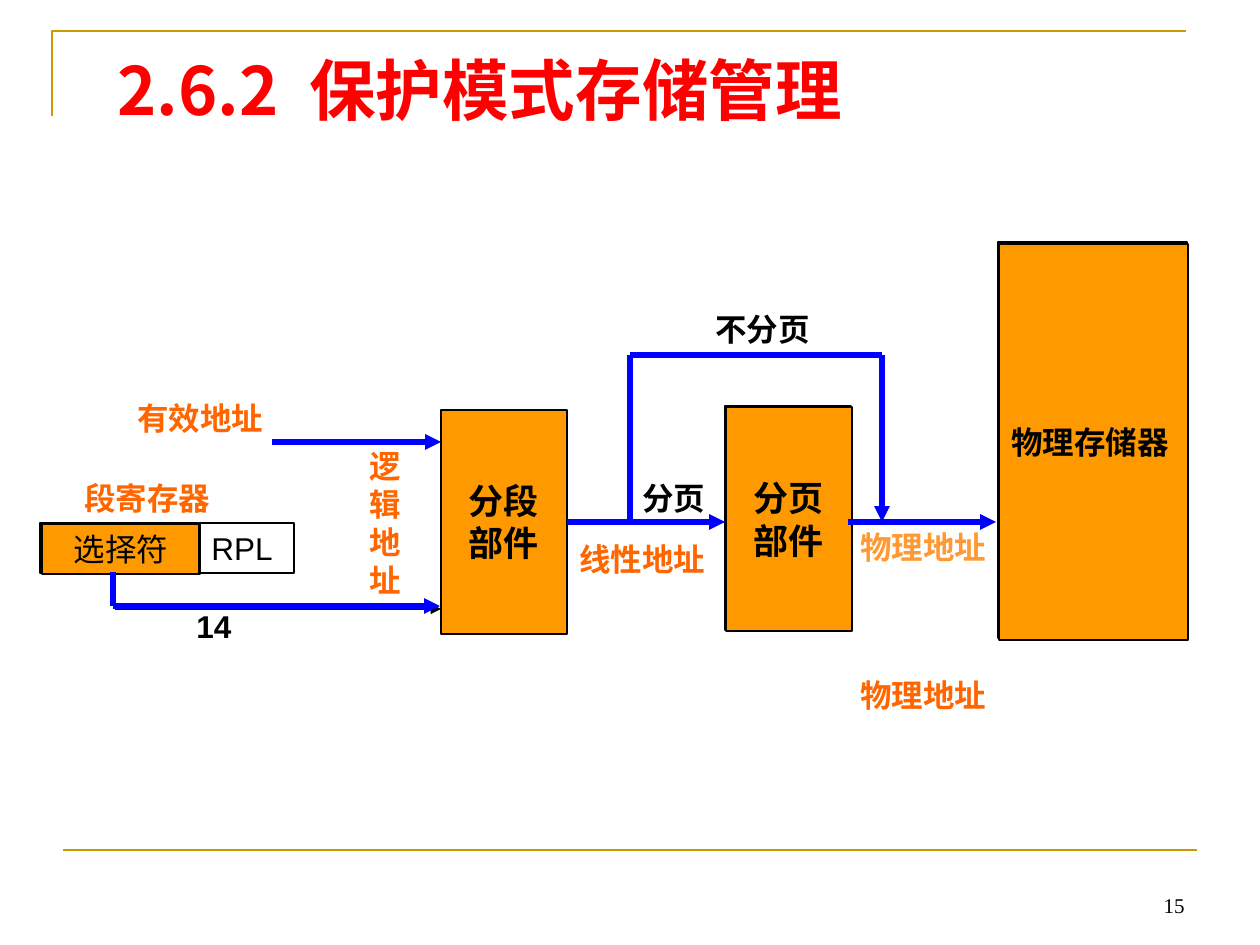
from lxml import etree
from pptx import Presentation, util as u
from pptx.dml.color import RGBColor
from pptx.enum import shapes, text
from pptx.oxml.ns import qn

COLORS = {
    "gold": "CC9900", "red": "FF0000", "label": "FF6600", "pale": "FF9933",
    "fill": "FF9900", "black": "000000", "blue": "0000FF",
}
CJK = "Noto Sans CJK SC"
ALIGN = text.PP_ALIGN
ANCHOR = text.MSO_ANCHOR

# Outlines peeping out behind the filled boxes: left, top, width, height
BACK_OUTLINES = [(40, 523, 158, 50), (725, 406, 126, 224), (998, 242, 189, 396)]

# Boxes: name, (left, top, width, height), fill, size, bold, alignment
BOXES = [
    ("选择符", (42, 524, 158, 50), "fill", 18, False, ALIGN.CENTER),
    ("RPL", (199, 523, 95, 50), None, 18, False, ALIGN.LEFT),
    ("分段部件", (441, 410, 126, 224), "fill", 20, True, ALIGN.CENTER),
    ("分页部件", (726, 407, 126, 224), "fill", 20, True, ALIGN.CENTER),
    ("物理存储器", (999, 244, 189, 396), "fill", 18, True, ALIGN.LEFT),
]

# Labels: words, (left, top, width, height), color
LABELS = [
    ("段寄存器", (72, 473, 169, 50), "label"),
    ("有效地址", (125, 393, 169, 50), "label"),
    ("逻辑地址", (357, 441, 63, 164), "label"),
    ("线性地址", (567, 534, 158, 50), "label"),
    ("分页", (630, 473, 95, 50), "black"),
    ("不分页", (703, 304, 158, 50), "black"),
    ("物理地址", (848, 522, 158, 50), "pale"),
    ("14", (184, 601, 79, 50), "black"),
    ("物理地址", (848, 670, 158, 50), "label"),
]

# Routes: points, color, width; the last leg carries the arrowhead
ROUTES = [
    ([(115, 575), (115, 609), (441, 609)], "black", 0.75),
    ([(113, 572), (113, 606), (440, 606)], "blue", 3),
    ([(272, 442), (441, 442)], "blue", 3),
    ([(567, 522), (725, 522)], "blue", 3),
    ([(848, 522), (996, 522)], "blue", 3),
    ([(630, 522), (630, 355), (882, 355), (882, 522)], "blue", 3),
]


def px(value):
    return u.Emu(round(value * 914400 / 126))


def rgb(name):
    return RGBColor.from_string(COLORS[name])


def add_run(paragraph, words, size, color, bold=False, font="Arial"):
    run = paragraph.add_run()
    run.text = words
    run.font.size = u.Pt(size)
    run.font.bold = bold
    run.font.name = font
    run.font.color.rgb = rgb(color)
    properties = run.font._element
    etree.SubElement(properties, qn("a:ea")).set("typeface", CJK)
    return properties


def set_frame(shape, anchor, alignment):
    frame = shape.text_frame
    frame.word_wrap = True
    frame.vertical_anchor = anchor
    frame.paragraphs[0].alignment = alignment
    return frame.paragraphs[0]


def add_text_box(slide, place, anchor=ANCHOR.TOP, alignment=ALIGN.LEFT):
    return set_frame(slide.shapes.add_textbox(*map(px, place)), anchor, alignment)


def add_box(slide, place, fill=None):
    shape = slide.shapes.add_shape(shapes.MSO_SHAPE.RECTANGLE, *map(px, place))
    shape.shadow.inherit = False
    if fill:
        shape.fill.solid()
        shape.fill.fore_color.rgb = rgb(fill)
    else:
        shape.fill.background()
    shape.line.color.rgb = rgb("black")
    shape.line.width = u.Pt(0.75)
    return shape


def add_line(slide, start, end, color, width, arrow=False):
    line = slide.shapes.add_connector(
        shapes.MSO_CONNECTOR.STRAIGHT, *map(px, start + end))
    line.line.color.rgb = rgb(color)
    line.line.width = u.Pt(width)
    properties = line._element.spPr
    if arrow:
        etree.SubElement(properties.find(qn("a:ln")), qn("a:tailEnd")).set("type", "triangle")
    etree.SubElement(properties, qn("a:effectLst"))
    return line


def main():
    presentation = Presentation()
    presentation.slide_width, presentation.slide_height = px(1260), px(945)
    slide = presentation.slides.add_slide(presentation.slide_layouts[6])

    # Frame: corner rule above, straight rule below
    builder = slide.shapes.build_freeform(px(52), px(116))
    builder.add_line_segments([(px(52), px(31)), (px(1186), px(31))], close=False)
    corner = builder.convert_to_shape()
    corner.shadow.inherit = False
    corner.fill.background()
    corner.line.color.rgb = rgb("gold")
    corner.line.width = u.Pt(1.5)
    add_line(slide, (63, 850), (1197, 850), "gold", 1.5)

    # Title, with a widened space after the number
    title = add_text_box(slide, (105, 47, 1071, 83), ANCHOR.MIDDLE)
    for words, spacing in [("2.6.2", 0), (" ", 9), ("保护模式存储管理", 0)]:
        properties = add_run(title, words, 38, "red", True, CJK)
        properties.set("spc", str(spacing * 100))

    # Boxes
    for place in BACK_OUTLINES:
        add_box(slide, place)
    boxes = {}
    for name, place, fill, size, bold, alignment in BOXES:
        boxes[name] = add_box(slide, place, fill)
        paragraph = set_frame(boxes[name], ANCHOR.MIDDLE, alignment)
        add_run(paragraph, name, size, "black", bold)

    # Labels
    for words, place, color in LABELS:
        add_run(add_text_box(slide, place), words, 18, color, True)

    # Address routes
    segment_unit = boxes["分段部件"]
    segment_exit = (567, 522)
    for points, color, width in ROUTES:
        for start, end in zip(points, points[1:]):
            line = add_line(slide, start, end, color, width, end == points[-1])
            if start == segment_exit:
                line.begin_connect(segment_unit, 3)

    # Page number
    number = add_text_box(slide, (903, 861, 294, 63), ANCHOR.BOTTOM, ALIGN.RIGHT)
    add_run(number, "15", 12, "black", font="Times New Roman")

    presentation.save("out.pptx")


if __name__ == "__main__":
    main()
